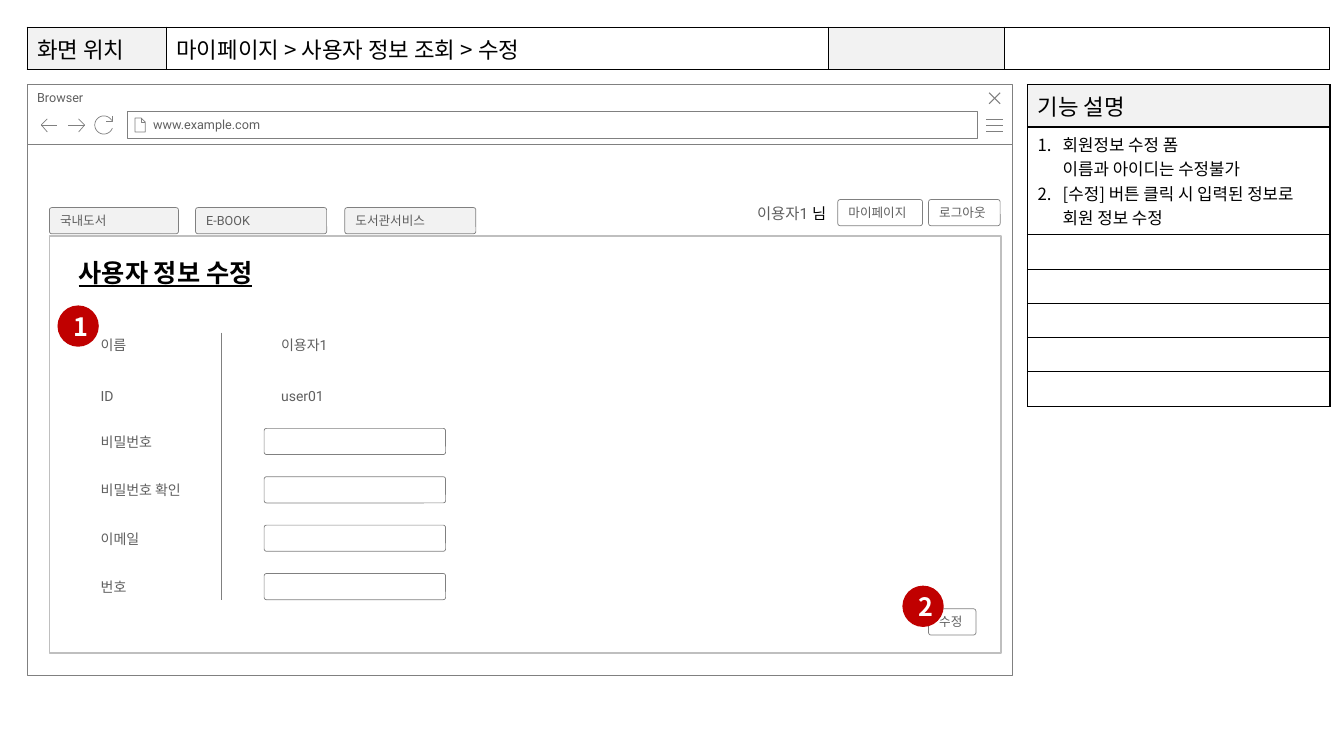
"""Build a wireframe slide for the page where a user edits personal details."""
from math import cos, radians, sin

from lxml import etree
from pptx import Presentation
from pptx.dml.color import RGBColor
from pptx.enum.shapes import MSO_CONNECTOR, MSO_SHAPE
from pptx.enum.text import MSO_ANCHOR, MSO_AUTO_SIZE, PP_ALIGN
from pptx.oxml.ns import qn
from pptx.util import Inches, Pt

RECTANGLE = MSO_SHAPE.RECTANGLE
ROUNDED = MSO_SHAPE.ROUNDED_RECTANGLE
OVAL = MSO_SHAPE.OVAL
STRAIGHT = MSO_CONNECTOR.STRAIGHT
TOP, MIDDLE = MSO_ANCHOR.TOP, MSO_ANCHOR.MIDDLE
LEFT, CENTER = PP_ALIGN.LEFT, PP_ALIGN.CENTER
NO_FIT = MSO_AUTO_SIZE.NONE

BLACK = RGBColor(0x00, 0x00, 0x00)
WHITE = RGBColor(0xFF, 0xFF, 0xFF)
TEXT_GRAY = RGBColor(0x5F, 0x5F, 0x5F)
LINE_GRAY = RGBColor(0x80, 0x80, 0x80)
PANEL_GRAY = RGBColor(0xBF, 0xBF, 0xBF)
PALE_GRAY = RGBColor(0xF2, 0xF2, 0xF2)
RED = RGBColor(0xC0, 0x00, 0x00)

KOREAN, LATIN = "Noto Sans CJK KR", "Roboto"
FIELD_TOP, FIELD_STEP = 4.25, 0.48


def set_font(font, size, name=LATIN, color=TEXT_GRAY, bold=False):
    """Format a paragraph or run font, with the Korean face for Hangul."""
    font.size, font.name, font.bold = Pt(size), name, bold
    font.color.rgb = color
    etree.SubElement(font._rPr, qn("a:ea"), typeface=KOREAN)


def write(box, text, size, name=LATIN, color=TEXT_GRAY, bold=False, align=LEFT):
    """Write one paragraph into a shape or cell."""
    para = box.text_frame.paragraphs[0]
    para.text, para.alignment = text, align
    set_font(para.font, size, name, color, bold)
    return para


def add_box(page, kind, place, fill=WHITE, line=LINE_GRAY, width=0.5):
    """Add a preset shape with a plain fill and outline."""
    box = page.shapes.add_shape(kind, *map(Inches, place))
    box.shadow.inherit = False
    if fill is None:
        box.fill.background()
    else:
        box.fill.solid()
        box.fill.fore_color.rgb = fill
    if line is None:
        box.line.fill.background()
    else:
        box.line.color.rgb = line
        box.line.width = Pt(width)
    if kind == ROUNDED:
        box.adjustments[0] = 0.09
    box.text_frame.vertical_anchor = MIDDLE
    return box


def add_button(page, place, text, fill=WHITE):
    """Add a rounded button or tab with its caption."""
    button = add_box(page, ROUNDED, place, fill)
    button.text_frame.word_wrap = False
    write(button, text, 9)


def add_badge(page, left, top, number):
    """Add a red numbered marker."""
    badge = add_box(page, OVAL, (left, top, 0.41, 0.41), RED, None)
    write(badge, number, 18, KOREAN, WHITE, True, CENTER)


def add_label(page, left, top, text, width=0.84):
    """Add a form label or value."""
    label = page.shapes.add_textbox(*map(Inches, (left, top, width, 0.27)))
    label.text_frame.word_wrap = True
    write(label, text, 10)


def add_icon(page, strokes, width=0.5):
    """Draw an outline icon from a list of strokes."""
    strokes = [[(Inches(x), Inches(y)) for x, y in stroke] for stroke in strokes]
    builder = page.shapes.build_freeform(*strokes[0][0])
    for index, stroke in enumerate(strokes):
        if index:
            builder.move_to(*stroke[0])
        builder.add_line_segments(stroke[1:], close=False)
    icon = builder.convert_to_shape()
    icon.shadow.inherit = False
    icon.fill.background()
    icon.line.color.rgb = LINE_GRAY
    icon.line.width = Pt(width)


def add_browser(page):
    """Draw the browser window with its bars and icons."""
    add_box(page, RECTANGLE, (0.27, 1.43, 9.77, 5.27))
    bar = add_box(page, RECTANGLE, (0.27, 0.84, 9.77, 0.59))
    bar.text_frame.vertical_anchor = TOP
    write(bar, "Browser", 9)
    address = add_box(page, RECTANGLE, (1.26, 1.11, 8.43, 0.26))
    address.text_frame.margin_left = Inches(0.26)
    write(address, "www.example.com", 9)
    add_icon(page, [[(9.78, y), (9.95, y)] for y in (1.3, 1.24, 1.18)])
    add_icon(page, [[(9.92, 0.92), (9.81, 1.03)], [(9.81, 0.92), (9.92, 1.03)]], 0.75)
    add_icon(page, [[(1.4, 1.17), (1.4, 1.21), (1.44, 1.21)],
                    [(1.34, 1.17), (1.34, 1.31), (1.44, 1.31), (1.44, 1.21),
                     (1.4, 1.17), (1.34, 1.17)]])
    for tip, bend, tail in ((0.41, 0.47, 0.57), (0.84, 0.78, 0.67)):
        add_icon(page, [[(bend, 1.31), (tip, 1.24), (bend, 1.18)],
                        [(tip, 1.24), (tail, 1.24)]])
    arc = [(1.03 + 0.09 * cos(radians(angle)), 1.24 + 0.09 * sin(radians(angle)))
           for angle in range(20, 331, 10)]
    add_icon(page, [[(1.11, 1.15), (1.11, 1.2), (1.05, 1.2)], arc])


def add_grid(page, left, top, widths, heights):
    """Add an unfilled table with thin black borders."""
    frame = page.shapes.add_table(len(heights), len(widths), Inches(left), Inches(top),
                                  Inches(sum(widths)), Inches(sum(heights)))
    grid = frame.table
    grid.first_row = grid.horz_banding = False
    for column, width in zip(grid.columns, widths):
        column.width = Inches(width)
    for row, height in zip(grid.rows, heights):
        row.height = Inches(height)
    for cell in grid.iter_cells():
        properties = cell._tc.get_or_add_tcPr()
        for side in ("a:lnL", "a:lnR", "a:lnT", "a:lnB"):
            border = etree.SubElement(properties, qn(side), w=str(Pt(1)))
            fill = etree.SubElement(border, qn("a:solidFill"))
            etree.SubElement(fill, qn("a:srgbClr"), val=str(BLACK))
        cell.fill.background()
        cell.text_frame.paragraphs[0]._p.get_or_add_endParaRPr().set("sz", "1000")
    return grid


def shade(cell):
    """Give a heading cell its pale fill."""
    cell.fill.solid()
    cell.fill.fore_color.rgb = PALE_GRAY


def add_location(page):
    """Add the table that names the screen's place in the site."""
    grid = add_grid(page, 0.27, 0.27, (1.38, 6.57, 1.74, 3.23), (0.41,))
    for index, text in enumerate(("화면 위치", "마이페이지 > 사용자 정보 조회 > 수정")):
        write(grid.cell(0, index), text, 16, KOREAN, BLACK)
    for index in (0, 2):
        shade(grid.cell(0, index))


def add_functions(page):
    """Add the table that explains the numbered functions."""
    grid = add_grid(page, 10.19, 0.84, (3,), (0.42, 1.07) + (0.34,) * 5)
    write(grid.cell(0, 0), "기능 설명", 16, KOREAN, BLACK)
    shade(grid.cell(0, 0))
    frame = grid.cell(1, 0).text_frame
    frame.text = ("회원정보 수정 폼\v이름과 아이디는 수정불가\n"
                  "[수정] 버튼 클릭 시 입력된 정보로 회원 정보 수정")
    for para in frame.paragraphs:
        properties = para._p.get_or_add_pPr()
        properties.set("marL", str(Inches(0.25)))
        properties.set("indent", str(Inches(-0.25)))
        etree.SubElement(properties, qn("a:buFont"), typeface="+mj-lt")
        etree.SubElement(properties, qn("a:buAutoNum"), type="arabicPeriod")
        set_font(para.font, 12, KOREAN, BLACK)


def add_header(page):
    """Add the menu tabs, the user's name and the account buttons."""
    for left, width, text in ((0.49, 1.28, "국내도서"), (1.94, 1.3, "E-BOOK"),
                              (3.42, 1.3, "도서관서비스")):
        add_button(page, (left, 2.06, width, 0.26), text, PALE_GRAY)
    add_button(page, (8.31, 1.98, 0.84, 0.26), "마이페이지")
    add_button(page, (9.21, 1.98, 0.71, 0.26), "로그아웃")
    user = page.shapes.add_textbox(*map(Inches, (7.41, 1.98, 0.99, 0.29)))
    user.text_frame.word_wrap = True
    para = user.text_frame.paragraphs[0]
    for text, name, color in (("이용자1 ", LATIN, TEXT_GRAY), ("님", KOREAN, BLACK)):
        span = para.add_run()
        span.text = text
        set_font(span.font, 11, name, color)


def add_title(page):
    """Place the page title above the browser window."""
    title = page.shapes.title
    page.shapes._spTree.append(title._element)
    title.left, title.top, title.width, title.height = map(Inches, (0.68, 2.5, 2.15, 0.4))
    frame = title.text_frame
    frame.auto_size, frame.word_wrap, frame.vertical_anchor = NO_FIT, False, TOP
    para = write(title, "사용자 정보 수정", 18, KOREAN, BLACK, True)
    para.font.underline = True


def add_form(page):
    """Add the form's panel, labels, fields and button."""
    add_box(page, RECTANGLE, (0.49, 2.34, 9.44, 4.14), None, PANEL_GRAY, 1)
    add_title(page)
    divider = page.shapes.add_connector(STRAIGHT, *map(Inches, (2.2, 3.3, 2.2, 5.95)))
    divider.line.color.rgb, divider.line.width = LINE_GRAY, Pt(0.5)
    etree.SubElement(divider._element.spPr, qn("a:effectLst"))
    for top, text, value in ((3.29, "이름", "이용자1"), (3.8, "ID", "user01")):
        add_label(page, 0.9, top, text)
        add_label(page, 2.69, top, value)
    for index, text in enumerate(("비밀번호", "비밀번호 확인", "이메일", "번호")):
        top = FIELD_TOP + index * FIELD_STEP
        add_label(page, 0.9, top, text, 1.11)
        add_box(page, ROUNDED, (2.62, top, 1.8, 0.26))
    add_button(page, (9.21, 6.04, 0.47, 0.26), "수정")
    add_badge(page, 0.57, 3.03, "1")
    add_badge(page, 8.95, 5.81, "2")


def main():
    """Build and save the slide."""
    deck = Presentation()
    deck.slide_width, deck.slide_height = Inches(13.33), Inches(7.5)
    page = deck.slides.add_slide(deck.slide_layouts[5])
    add_browser(page)
    add_functions(page)
    add_location(page)
    add_header(page)
    add_form(page)
    deck.save("out.pptx")


if __name__ == "__main__":
    main()
